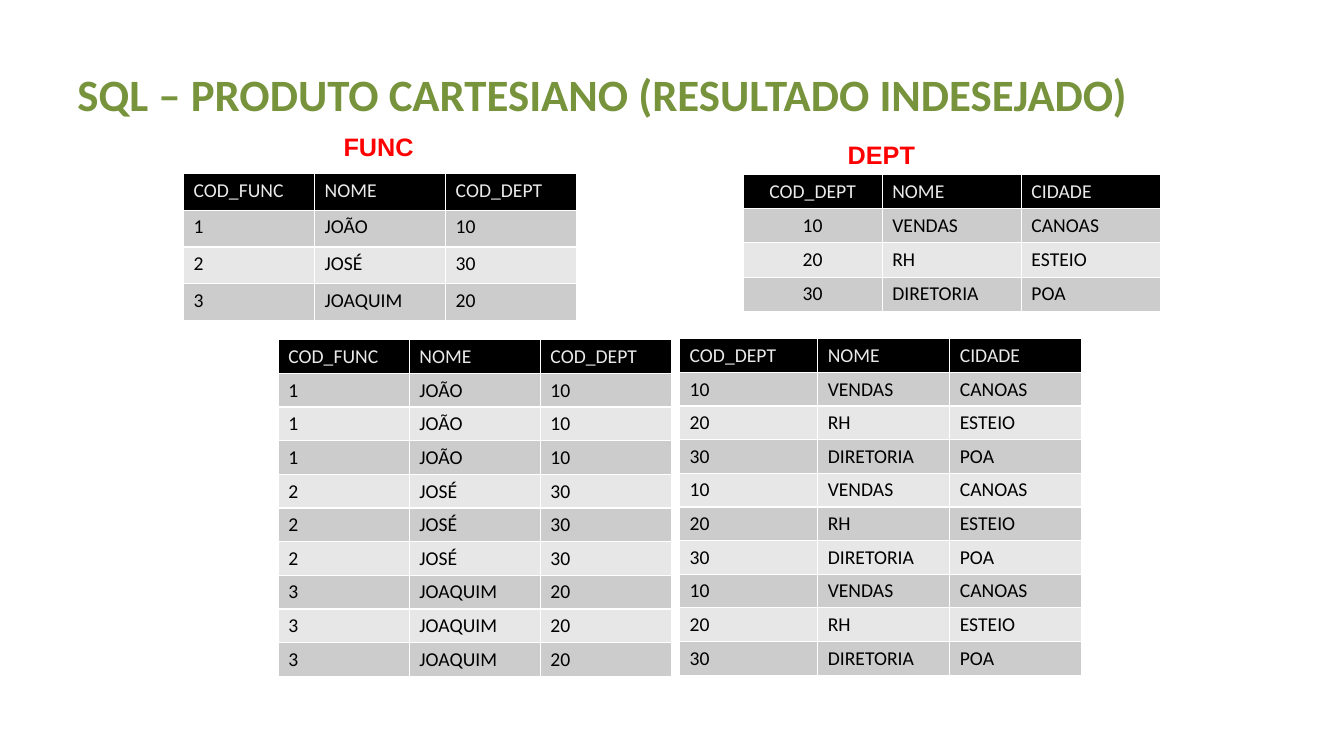
import dataclasses
import itertools

import pptx
import pptx.dml.color
import pptx.enum.text
import pptx.util

Inches = pptx.util.Inches
Align = pptx.enum.text.PP_ALIGN
Anchor = pptx.enum.text.MSO_ANCHOR


@dataclasses.dataclass(frozen=True)
class Theme:
    title_color: str = "77933C"
    label_color: str = "FF0000"
    header_fill: str = "000000"
    header_text: str = "EAEAEA"
    body_text: str = "000000"
    band_fills: tuple = ("CCCCCC", "E7E7E7")
    body_font: str = "Calibri"
    label_font: str = "Arial"
    title_size: int = 32
    label_size: int = 18
    table_size: int = 14


THEME = Theme()

FUNC_HEADER = ("COD_FUNC", "NOME", "COD_DEPT")
FUNC_ROWS = (("1", "JOÃO", "10"), ("2", "JOSÉ", "30"), ("3", "JOAQUIM", "20"))
DEPT_HEADER = ("COD_DEPT", "NOME", "CIDADE")
DEPT_ROWS = (("10", "VENDAS", "CANOAS"), ("20", "RH", "ESTEIO"), ("30", "DIRETORIA", "POA"))


def rgb(color):
    return pptx.dml.color.RGBColor.from_string(color)


def write_text(frame, text, *, size, color, font=THEME.body_font, bold=False, align=Align.LEFT):
    paragraph = frame.paragraphs[0]
    paragraph.alignment = align
    run = paragraph.add_run()
    run.text = text
    run.font.name = font
    run.font.size = pptx.util.Pt(size)
    run.font.bold = bold
    run.font.color.rgb = rgb(color)


def add_text_box(slide, text, left, top, width, height, *, anchor=Anchor.TOP, **text_format):
    box = slide.shapes.add_textbox(Inches(left), Inches(top), Inches(width), Inches(height))
    box.text_frame.word_wrap = True
    box.text_frame.vertical_anchor = anchor
    write_text(box.text_frame, text, bold=True, **text_format)


def add_label(slide, text, left, top):
    add_text_box(slide, text, left, top, 0.94, 0.4, size=THEME.label_size,
                 color=THEME.label_color, font=THEME.label_font)


def add_data_table(slide, header, rows, left, top, column_widths, row_height,
                   first_column_align=Align.LEFT):
    """Add a table with a black header and alternating grey rows."""
    records = [header, *rows]
    table = slide.shapes.add_table(
        len(records), len(header), Inches(left), Inches(top),
        Inches(sum(column_widths)), Inches(row_height * len(records))).table
    for column, width in zip(table.columns, column_widths):
        column.width = Inches(width)
    for row_index, record in enumerate(records):
        table.rows[row_index].height = Inches(row_height)
        is_header = row_index == 0
        fill = THEME.header_fill if is_header else THEME.band_fills[(row_index - 1) % 2]
        color = THEME.header_text if is_header else THEME.body_text
        for column_index, value in enumerate(record):
            cell = table.cell(row_index, column_index)
            cell.fill.solid()
            cell.fill.fore_color.rgb = rgb(fill)
            write_text(cell.text_frame, value, size=THEME.table_size, color=color,
                       align=first_column_align if column_index == 0 else Align.LEFT)


def main():
    presentation = pptx.Presentation()
    presentation.slide_width = Inches(13.33)
    presentation.slide_height = Inches(7.5)
    slide = presentation.slides.add_slide(presentation.slide_layouts[6])

    add_text_box(slide, "SQL – PRODUTO CARTESIANO (RESULTADO INDESEJADO)", 0.67, 0.3, 12, 1.25,
                 anchor=Anchor.MIDDLE, size=THEME.title_size, color=THEME.title_color)

    func_widths = (1.3, 1.3, 1.3)
    add_data_table(slide, FUNC_HEADER, FUNC_ROWS, 1.82, 1.72, func_widths, 0.365)
    add_data_table(slide, DEPT_HEADER, DEPT_ROWS, 7.37, 1.73, (1.38, 1.38, 1.38), 0.34,
                   first_column_align=Align.CENTER)
    add_label(slide, "FUNC", 3.31, 1.25)
    add_label(slide, "DEPT", 8.31, 1.33)

    func_product, dept_product = zip(*itertools.product(FUNC_ROWS, DEPT_ROWS))
    add_data_table(slide, FUNC_HEADER, func_product, 2.76, 3.37, func_widths, 0.33)
    add_data_table(slide, DEPT_HEADER, dept_product, 6.74, 3.36, (1.37, 1.31, 1.31), 0.33)

    presentation.save("out.pptx")


if __name__ == "__main__":
    main()
